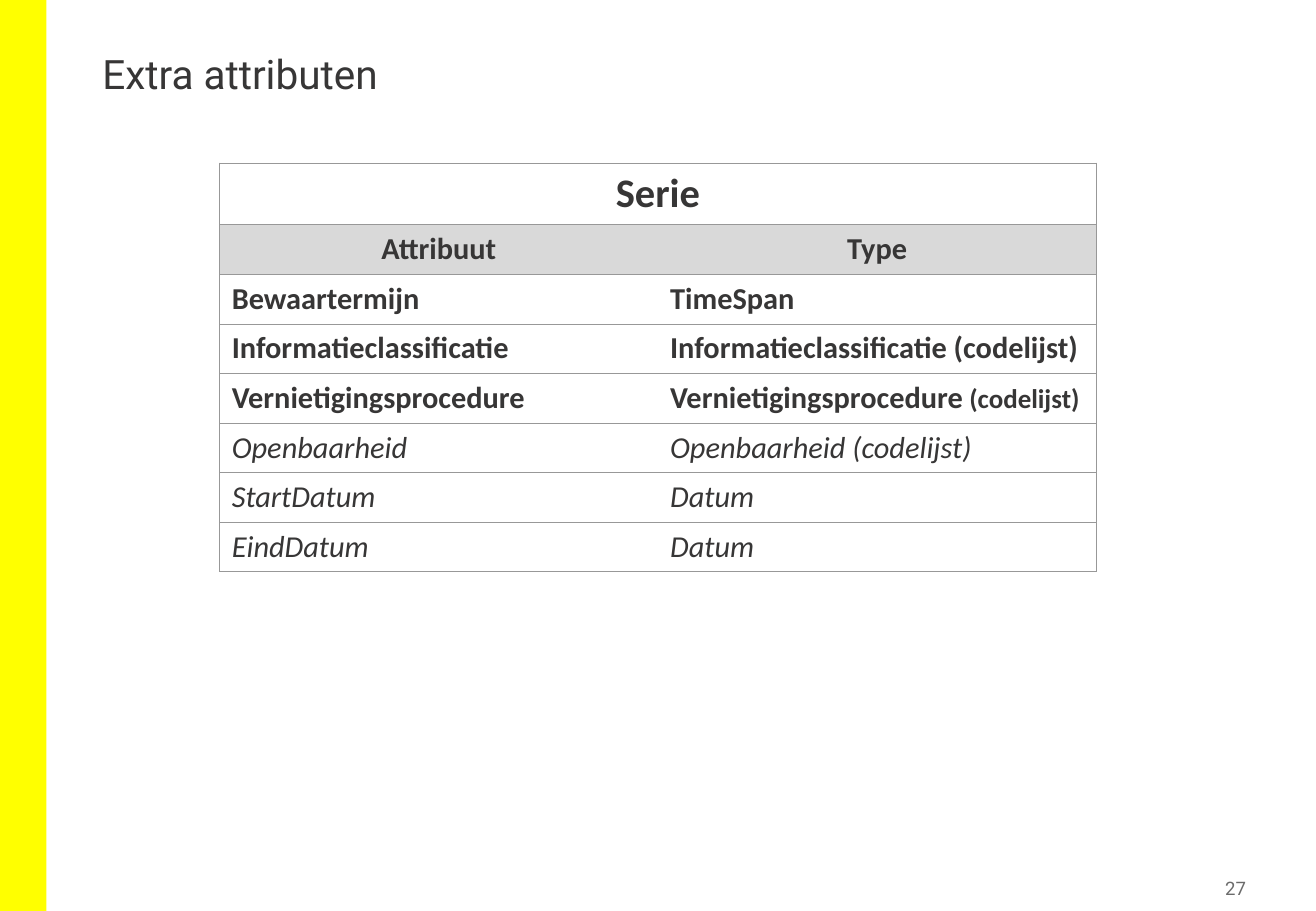
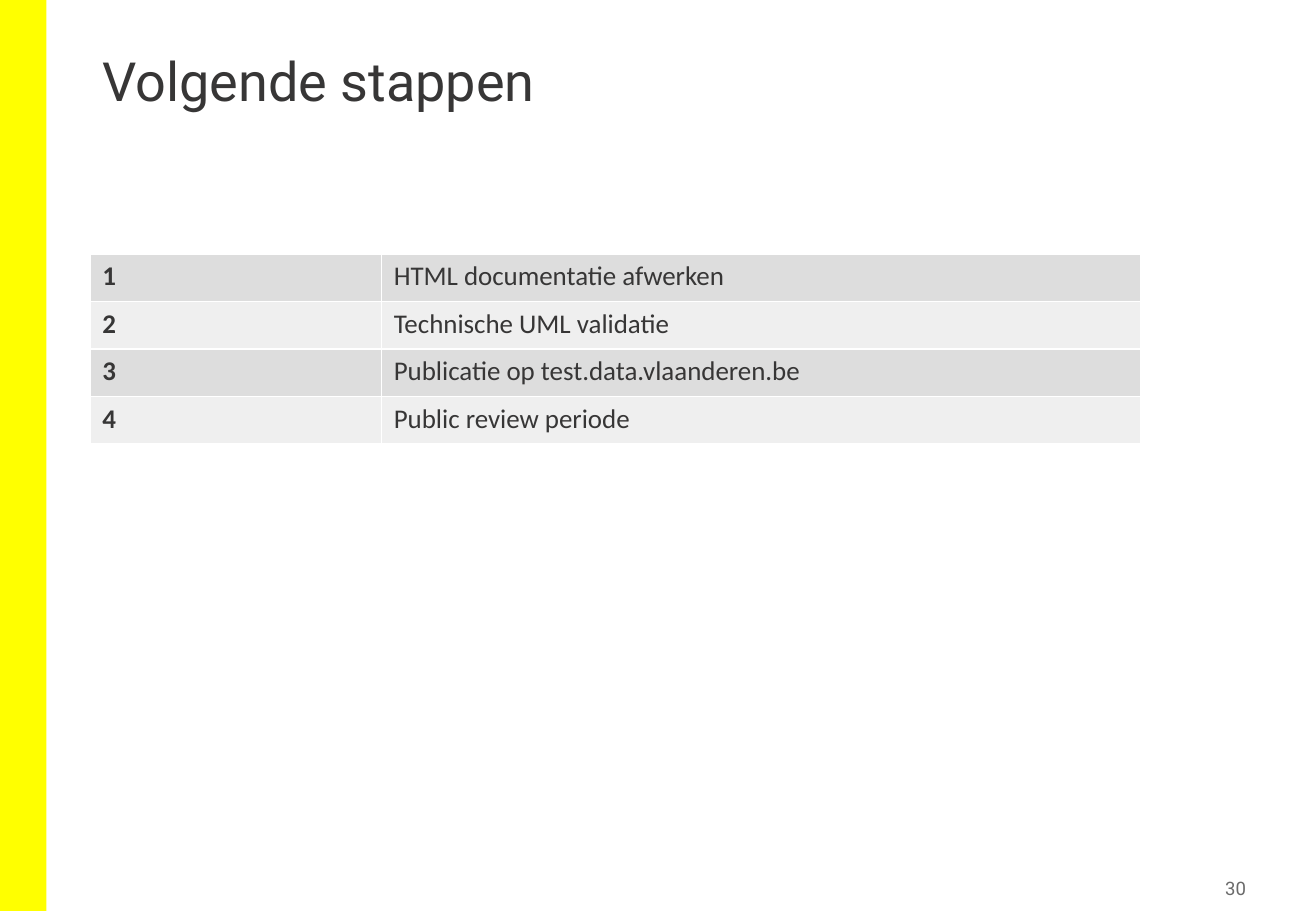
import pptx
import pptx.dml.color
import pptx.enum.shapes
import pptx.enum.text
import pptx.oxml
import pptx.oxml.ns
import pptx.util

ALIGN = pptx.enum.text.PP_ALIGN
ANCHOR = pptx.enum.text.MSO_ANCHOR


def px(length):
    return pptx.util.Emu(length * 7620)


def color(hex_string):
    return pptx.dml.color.RGBColor.from_string(hex_string)


class Deck:
    WIDTH, HEIGHT = 1300, 900
    MARGIN = 89
    TEXT, MUTED, BAND = "373636", "6B6B6B", "FFFF00"
    HEADING_FONT, BODY_FONT = "Roboto", "Calibri"

    def __init__(self):
        self.presentation = pptx.Presentation()
        self.presentation.slide_width = px(self.WIDTH)
        self.presentation.slide_height = px(self.HEIGHT)
        self.slide = None

    def add_slide(self, title, title_size, title_width, number):
        layout = self.presentation.slide_layouts.get_by_name("Title Only")
        self.slide = self.presentation.slides.add_slide(layout)
        self.band()
        self.title(title, title_size, title_width)
        self.page_number(number)

    def style(self, font, name, size, hex_string, bold=False, italic=False):
        font.name = name
        font.size = pptx.util.Pt(size)
        font.color.rgb = color(hex_string)
        font.bold = bold
        font.italic = italic

    def band(self):
        shape = self.slide.shapes.add_shape(
            pptx.enum.shapes.MSO_SHAPE.RECTANGLE, 0, 0, px(46), px(self.HEIGHT))
        shape.shadow.inherit = False
        shape.fill.solid()
        shape.fill.fore_color.rgb = color(self.BAND)
        shape.line.fill.background()

    def title(self, text, size, width):
        shape = self.slide.shapes.title
        shape.left, shape.top = px(self.MARGIN), px(48)
        shape.width, shape.height = px(width), px(130)
        frame = shape.text_frame
        frame.text = text
        frame.auto_size = pptx.enum.text.MSO_AUTO_SIZE.NONE
        frame.vertical_anchor = ANCHOR.TOP
        paragraph = frame.paragraphs[0]
        paragraph.alignment = ALIGN.LEFT
        paragraph.line_spacing = 0.9
        self.style(paragraph.font, self.HEADING_FONT, size, self.TEXT)

    def page_number(self, number):
        frame = self.slide.shapes.add_textbox(px(1140), px(860), px(97), px(35)).text_frame
        frame.word_wrap = True
        frame.vertical_anchor = ANCHOR.MIDDLE
        frame.margin_left = frame.margin_right = px(6)
        frame.margin_top = frame.margin_bottom = px(6)
        frame.text = str(number)
        paragraph = frame.paragraphs[0]
        paragraph.alignment = ALIGN.RIGHT
        self.style(paragraph.font, self.HEADING_FONT, 11, self.MUTED)

    def table(self, left, top, widths, heights):
        table = self.slide.shapes.add_table(
            len(heights), len(widths), px(left), px(top),
            px(sum(widths)), px(sum(heights))).table
        table.first_row = table.horz_banding = False
        for column, width in zip(table.columns, widths):
            column.width = px(width)
        for row, height in zip(table.rows, heights):
            row.height = px(height)
        return table

    def cell(self, cell, text, size, bold=False, italic=False,
             alignment=ALIGN.LEFT, fill=None):
        if fill:
            cell.fill.solid()
            cell.fill.fore_color.rgb = color(fill)
        else:
            cell.fill.background()
        paragraph = cell.text_frame.paragraphs[0]
        paragraph.text = text
        paragraph.alignment = alignment
        self.style(paragraph.font, self.BODY_FONT, size, self.TEXT, bold, italic)
        return paragraph

    def borders(self, table, hex_string, points, inner_vertical):
        last = len(table.columns)
        for row in table.rows:
            for index, cell in enumerate(row.cells):
                visible = {
                    "L": inner_vertical or index == 0,
                    "R": inner_vertical or index + cell.span_width == last,
                    "T": True,
                    "B": True,
                }
                properties = cell._tc.get_or_add_tcPr()
                for position, (side, shown) in enumerate(visible.items()):
                    paint = (f'<a:solidFill><a:srgbClr val="{hex_string}"/></a:solidFill>'
                             if shown else "<a:noFill/>")
                    properties.insert(position, pptx.oxml.parse_xml(
                        f'<a:ln{side} {pptx.oxml.ns.nsdecls("a")} '
                        f'w="{pptx.util.Pt(points)}">{paint}</a:ln{side}>'))


def attributes_slide(deck):
    deck.add_slide("Extra attributen", 24, 542, 27)
    new_attributes = [
        ("Bewaartermijn", "TimeSpan"),
        ("Informatieclassificatie", "Informatieclassificatie (codelijst)"),
        ("Vernietigingsprocedure", "Vernietigingsprocedure"),
    ]
    known_attributes = [
        ("Openbaarheid", "Openbaarheid (codelijst)"),
        ("StartDatum", "Datum"),
        ("EindDatum", "Datum"),
    ]
    header = {"bold": True, "alignment": ALIGN.CENTER, "fill": "D9D9D9"}
    rows = [(("Attribuut", "Type"), header)]
    rows += [(texts, {"bold": True}) for texts in new_attributes]
    rows += [(texts, {"italic": True}) for texts in known_attributes]

    table = deck.table(217, 161, [433, 433], [61] + [49] * len(rows))
    table.cell(0, 0).merge(table.cell(0, 1))
    deck.cell(table.cell(0, 0), "Serie", 24, bold=True, alignment=ALIGN.CENTER)
    for row, (texts, look) in enumerate(rows, 1):
        for column, text in enumerate(texts):
            paragraph = deck.cell(table.cell(row, column), text, 18, **look)
            if (text, column) == ("Vernietigingsprocedure", 1):
                run = paragraph.add_run()
                run.text = " (codelijst)"
                run.font.size = pptx.util.Pt(16)
    deck.borders(table, "989898", 0.5, inner_vertical=False)


def next_steps_slide(deck):
    deck.add_slide("Volgende stappen", 32, 1121, 30)
    steps = [
        "HTML documentatie afwerken",
        "Technische UML validatie",
        "Publicatie op test.data.vlaanderen.be",
        "Public review periode",
    ]
    table = deck.table(deck.MARGIN, 251, [288, 750], [47] * len(steps))
    for row, step in enumerate(steps):
        fill = ("DDDDDD", "EFEFEF")[row % 2]
        deck.cell(table.cell(row, 0), str(row + 1), 16, bold=True, fill=fill)
        deck.cell(table.cell(row, 1), step, 16, fill=fill)
    deck.borders(table, "FFFFFF", 1, inner_vertical=True)


def main():
    deck = Deck()
    attributes_slide(deck)
    next_steps_slide(deck)
    deck.presentation.save("out.pptx")


if __name__ == "__main__":
    main()
